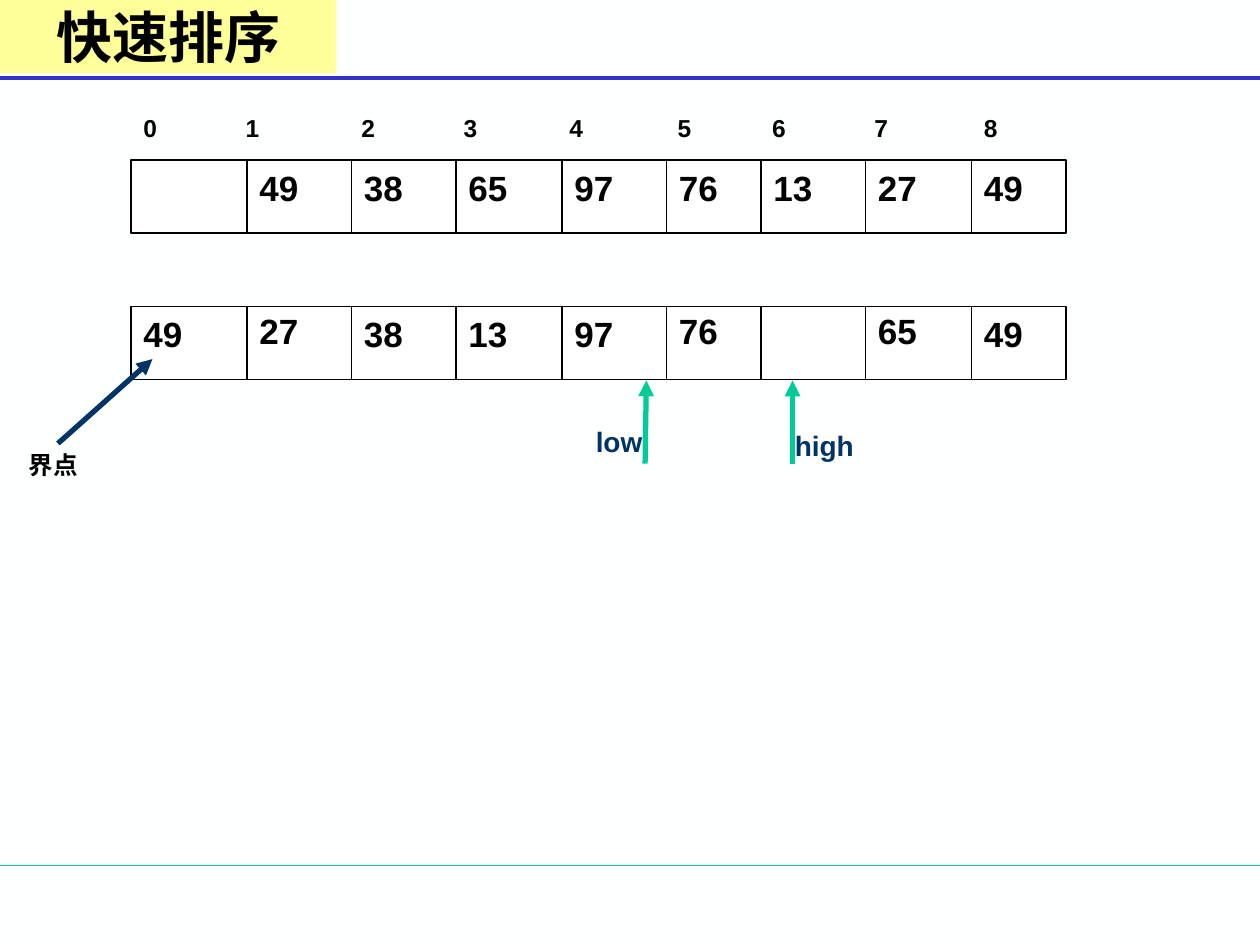
from lxml import etree
from pptx import Presentation
from pptx.dml.color import RGBColor
from pptx.enum import shapes, text
from pptx.oxml import ns
from pptx.util import Inches, Pt

BLACK = RGBColor(0, 0, 0)
WHITE = RGBColor(255, 255, 255)
PAPER = RGBColor(254, 255, 255)
BLUE = RGBColor(0x33, 0x33, 0xCC)
NAVY = RGBColor(0, 0x33, 0x66)
GREEN = RGBColor(0, 0xCC, 0x99)
YELLOW = RGBColor(255, 255, 0x99)

TITLE = "快速排序"
EDGES = [1.04, 1.96, 2.79, 3.62, 4.46, 5.29, 6.04, 6.87, 7.71, 8.46]
TALL = 0.58
ROWS = [
    (1.27, ["", "49", "38", "65", "97", "76", "13", "27", "49"], ()),
    (2.43, ["49", "27", "38", "13", "97", "76", "", "65", "49"], (1, 5, 7)),
]
STOPS = [0.81, 1.73, 2.54, 3.38, 4.24, 4.99, 5.8, 6.67]
RULES = [(6.87, GREEN, 0.75), (0.62, BLUE, 2.25)]
ARROWS = [
    ((6.29, 3.68), (6.29, 3.02), GREEN),
    ((5.12, 3.68), (5.13, 3.02), GREEN),
    ((0.46, 3.52), (1.21, 2.85), NAVY),
]
LABELS = [
    ("high", (6.21, 3.35, 0.92, 0.37), 16, NAVY),
    ("low", (4.63, 3.32, 0.92, 0.37), 16, NAVY),
    ("界点", (0.13, 3.52, 0.83, 0.34), 14, BLACK),
]

deck = Presentation()
deck.slide_width, deck.slide_height = Inches(10), Inches(7.5)
slide = deck.slides.add_slide(deck.slide_layouts[6])
slide.background.fill.solid()
slide.background.fill.fore_color.rgb = PAPER


def add_tag(parent, name, **attrs):
    return etree.SubElement(parent, ns.qn(name), attrs)


def add_line(start, end, color, width, arrow=False):
    line = slide.shapes.add_connector(
        shapes.MSO_CONNECTOR.STRAIGHT, *map(Inches, start + end))
    line.line.color.rgb = color
    line.line.width = Pt(width)
    if arrow:
        add_tag(line.line._get_or_add_ln(), "a:tailEnd", type="triangle")
    add_tag(line._element.spPr, "a:effectLst")


def add_rect(place, fill):
    rect = slide.shapes.add_shape(
        shapes.MSO_SHAPE.RECTANGLE, *map(Inches, place))
    rect.shadow.inherit = False
    rect.fill.solid()
    rect.fill.fore_color.rgb = fill
    return rect


def write(shape, words, size, color=BLACK, face="Arial"):
    frame = shape.text_frame
    frame.word_wrap = True
    run = frame.paragraphs[0].add_run()
    run.text = words
    run.font.name = face
    run.font.size = Pt(size)
    run.font.bold = True
    run.font.color.rgb = color
    return frame


def add_text(words, place, size, color=BLACK):
    box = slide.shapes.add_textbox(*map(Inches, place))
    return write(box, words, size, color)


for y, color, width in RULES:
    add_line((0, y), (10, y), color, width)

for top, values, raised in ROWS:
    frame = add_rect((EDGES[0], top, EDGES[-1] - EDGES[0], TALL), WHITE)
    frame.line.color.rgb = BLACK
    frame.line.width = Pt(0.75)
    for x in EDGES[1:-1]:
        add_line((x, top), (x, top + TALL), BLACK, 0.75)
    for i, value in enumerate(values):
        if value:
            y = top - 0.02 if i in raised else top
            add_text(value, (EDGES[i], y, 0.67, 0.44), 20)

index = add_text("\t".join(map(str, range(9))), (1.04, 0.85, 7.42, 0.34), 14)
tabs = add_tag(index.paragraphs[0]._p.get_or_add_pPr(), "a:tabLst")
for stop in STOPS:
    add_tag(tabs, "a:tab", pos=str(Inches(stop)), algn="l")

for start, end, color in ARROWS:
    add_line(start, end, color, 3, arrow=True)
for label in LABELS:
    add_text(*label)

banner = add_rect((0, 0, 2.67, 0.58), YELLOW)
banner.line.fill.background()
head = write(banner, TITLE, 32, face="Times New Roman")
head.vertical_anchor = text.MSO_ANCHOR.MIDDLE
head.paragraphs[0].alignment = text.PP_ALIGN.CENTER

deck.save("out.pptx")
